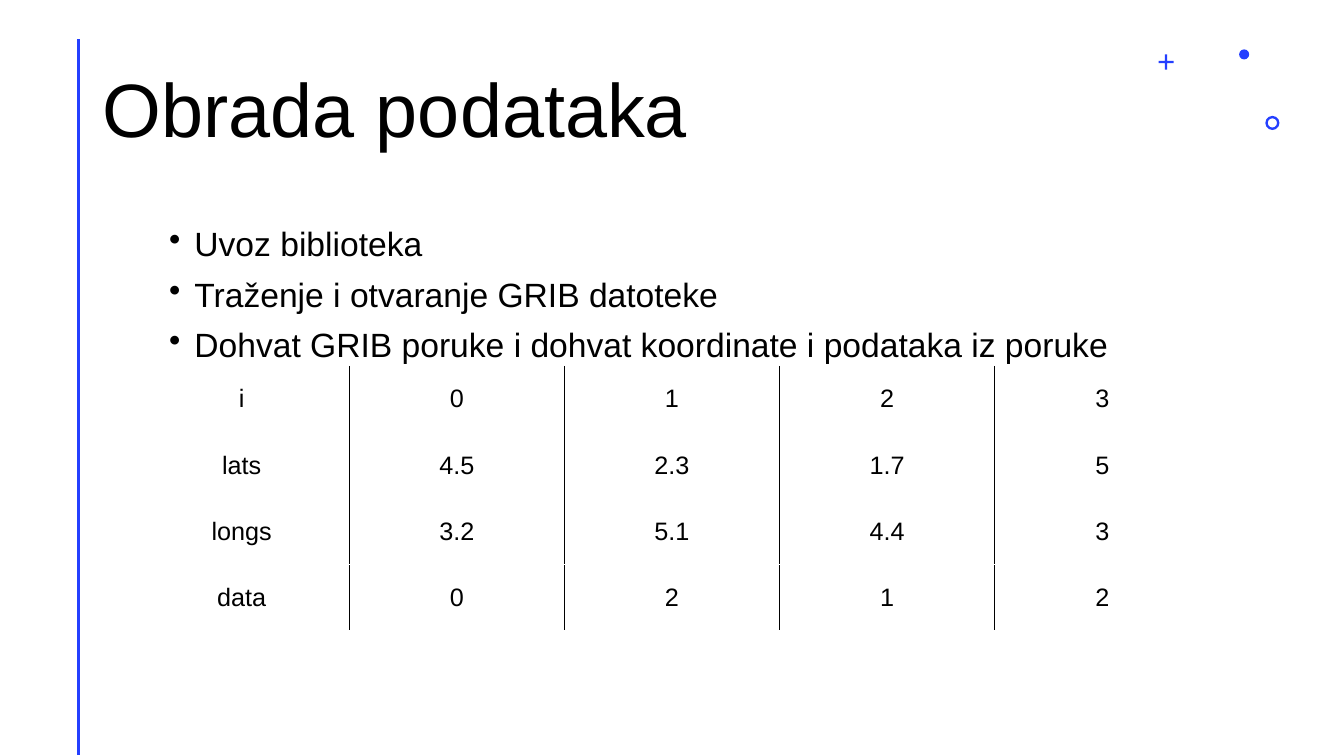
"""Build the "Obrada podataka" slide with bullets and a table of GRIB values."""
from dataclasses import dataclass
from typing import NamedTuple, Optional

from pptx import Presentation
from pptx import util as u
from pptx.dml.color import RGBColor
from pptx.enum import shapes, text
from pptx.oxml import ns
from pptx.oxml.xmlchemy import OxmlElement

PX = 9144
NO_STYLE = "{2D5ABB26-0587-4C30-8999-92F81FD0307C}"


@dataclass(frozen=True)
class Theme:
    ink: str = "000000"
    paper: str = "FFFFFF"
    accent: str = "243FFF"
    font: str = "Arial"
    title: int = 54
    body: int = 24
    cell: int = 18
    rule: int = 2
    border: int = 1


class Box(NamedTuple):
    x: int
    y: int
    w: int
    h: int

    def emu(self) -> list[u.Emu]:
        return [px(v) for v in self]


class Ornament(NamedTuple):
    kind: shapes.MSO_SHAPE
    box: Box
    adjust: Optional[float] = None


T = Theme()
ORNAMENTS = [
    Ornament(shapes.MSO_SHAPE.CROSS, Box(1149, 54, 15, 15), 0.43),
    Ornament(shapes.MSO_SHAPE.DONUT, Box(1255, 115, 14, 14), 0.17),
    Ornament(shapes.MSO_SHAPE.OVAL, Box(1229, 49, 10, 10)),
]
BULLETS = [
    "Uvoz biblioteka",
    "Traženje i otvaranje GRIB datoteke",
    "Dohvat GRIB poruke i dohvat koordinate i podataka iz poruke",
]
ROWS = [
    ["i", "0", "1", "2", "3"],
    ["lats", "4.5", "2.3", "1.7", "5"],
    ["longs", "3.2", "5.1", "4.4", "3"],
    ["data", "0", "2", "1", "2"],
]


def px(n: int) -> u.Emu:
    """Turn slide pixels into EMU."""
    return u.Emu(n * PX)


def write(p, content: str, *, size: int, align=text.PP_ALIGN.LEFT,
          spacing: float = 1.0, before: int = 0, bullet: bool = False) -> None:
    """Put formatted text into a paragraph."""
    p.alignment, p.line_spacing, p.space_before = align, spacing, u.Pt(before)
    r = p.add_run()
    r.text = content
    r.font.name, r.font.size = T.font, u.Pt(size)
    r.font.color.rgb = RGBColor.from_string(T.ink)
    if bullet:
        pPr = p._p.get_or_add_pPr()
        pPr.set("marL", str(px(25)))
        pPr.set("indent", str(px(-25)))
        bu = OxmlElement("a:buChar")
        bu.set("char", "•")
        pPr.append(bu)


def add_rule(s) -> None:
    """Draw the vertical rule beside the title."""
    line = s.shapes.add_connector(shapes.MSO_CONNECTOR.STRAIGHT,
                                  px(78), px(39), px(78), px(749))
    line.line.color.rgb = RGBColor.from_string(T.accent)
    line.line.width = u.Pt(T.rule)
    line._element.spPr.append(OxmlElement("a:effectLst"))


def add_ornament(s, o: Ornament) -> None:
    """Draw one corner ornament."""
    sp = s.shapes.add_shape(o.kind, *o.box.emu())
    sp.shadow.inherit = False
    sp.fill.solid()
    sp.fill.fore_color.rgb = RGBColor.from_string(T.accent)
    sp.line.fill.background()
    if o.adjust is not None:
        sp.adjustments[0] = o.adjust


def add_title(s, content: str) -> None:
    """Place and fill the title placeholder."""
    sp = s.shapes.title
    sp.left, sp.top, sp.width, sp.height = Box(92, 40, 1150, 145).emu()
    tf = sp.text_frame
    tf.auto_size = text.MSO_AUTO_SIZE.NONE
    tf.vertical_anchor = text.MSO_ANCHOR.MIDDLE
    write(tf.paragraphs[0], content, size=T.title, spacing=0.9)


def add_bullets(s, items: list[str]) -> None:
    """Add the bulleted list."""
    tf = s.shapes.add_textbox(*Box(158, 221, 1083, 456).emu()).text_frame
    tf.word_wrap = True
    for i, item in enumerate(items):
        p = tf.add_paragraph() if i else tf.paragraphs[0]
        write(p, item, size=T.body, spacing=0.9, before=10, bullet=True)


def set_border(cell, side: str, color: str) -> None:
    """Add a solid border to one side of a cell."""
    ln = OxmlElement(f"a:ln{side}")
    ln.set("w", str(u.Pt(T.border)))
    fill, clr = OxmlElement("a:solidFill"), OxmlElement("a:srgbClr")
    clr.set("val", color)
    fill.append(clr)
    ln.append(fill)
    cell._tc.get_or_add_tcPr().append(ln)


def add_values(s, rows: list[list[str]]) -> None:
    """Add the table of indexes, coordinates and data."""
    n, m = len(rows), len(rows[0])
    table = s.shapes.add_table(n, m, *Box(133, 363, 1067, 263).emu()).table
    table.first_row = table.horz_banding = False
    table._tbl.tblPr.find(ns.qn("a:tableStyleId")).text = NO_STYLE
    for i, row in enumerate(rows):
        for j, value in enumerate(row):
            cell = table.cell(i, j)
            cell.vertical_anchor = text.MSO_ANCHOR.MIDDLE
            write(cell.text_frame.paragraphs[0], value, size=T.cell,
                  align=text.PP_ALIGN.CENTER)
            set_border(cell, "L", T.ink if j else T.paper)
            set_border(cell, "R", T.ink if j < m - 1 else T.paper)
            if i == n - 1:
                set_border(cell, "T", T.paper)
            if i >= n - 2:
                set_border(cell, "B", T.paper)
            if i == 0 and j:
                cell.fill.solid()
                cell.fill.fore_color.rgb = RGBColor.from_string(T.paper)
            else:
                cell.fill.background()


def main() -> None:
    """Build and save the slide."""
    prs = Presentation()
    prs.slide_width, prs.slide_height = px(1333), px(750)
    s = prs.slides.add_slide(prs.slide_layouts[5])
    add_rule(s)
    for o in ORNAMENTS:
        add_ornament(s, o)
    add_title(s, "Obrada podataka")
    add_bullets(s, BULLETS)
    add_values(s, ROWS)
    prs.save("out.pptx")


if __name__ == "__main__":
    main()
